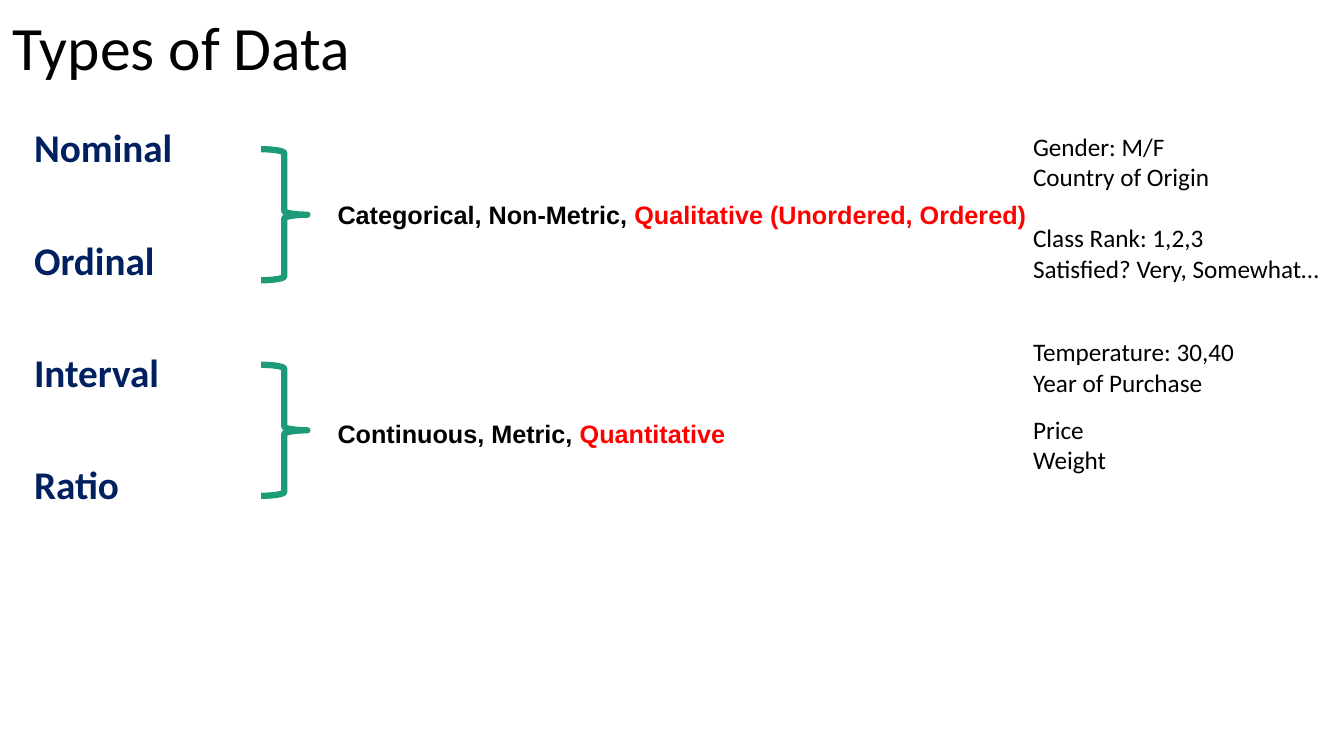
from dataclasses import dataclass

from pptx import Presentation
from pptx.dml.color import RGBColor
from pptx.enum import shapes, text
from pptx.util import Pt


@dataclass(frozen=True)
class Theme:
    ink: str = "000000"
    navy: str = "002060"
    red: str = "FF0000"
    green: str = "1D9A78"
    head: str = "Calibri"
    label: str = "Arial"
    title: int = 44
    level: int = 28
    note: int = 18
    stroke: float = 4.5


class Deck:
    def __init__(self, theme):
        self.theme = theme
        self.file = Presentation()
        self.file.slide_width, self.file.slide_height = Pt(960), Pt(540)
        self.slide = self.file.slides.add_slide(self.file.slide_layouts[6])

    def text(self, box, lines, size, font, bold=False, pitch=None, gap=0):
        """Add a text box; each line is a list of (words, colour) runs."""
        frame = self.slide.shapes.add_textbox(*map(Pt, box)).text_frame
        frame.word_wrap = True
        frame.text = "\n".join("".join(w for w, _ in runs) for runs in lines)
        for para, runs in zip(frame.paragraphs, lines):
            para.text = ""
            para.line_spacing = pitch
            para.space_after = Pt(gap)
            for words, colour in runs:
                run = para.add_run()
                run.text = words
                run.font.size, run.font.name = Pt(size), font
                run.font.bold = bold
                run.font.color.rgb = RGBColor.from_string(colour)
        return frame

    def title(self, words):
        t = self.theme
        frame = self.text((2, 10.8, 496, 51), [[(words, t.ink)]],
                          t.title, t.head, pitch=0.9)
        frame.vertical_anchor = text.MSO_ANCHOR.MIDDLE

    def levels(self, names):
        t = self.theme
        self.text((17.3, 88.6, 160, 363), [[(n, t.navy)] for n in names],
                  t.level, t.head, bold=True, pitch=0.9, gap=50)

    def brace(self, top):
        kind = shapes.MSO_SHAPE.RIGHT_BRACE
        brace = self.slide.shapes.add_shape(
            kind, *map(Pt, (186.5, top, 33.1, 93.6)))
        brace.shadow.inherit = False
        brace.fill.background()
        brace.line.color.rgb = RGBColor.from_string(self.theme.green)
        brace.line.width = Pt(self.theme.stroke)

    def group(self, top, width, plain, key):
        t = self.theme
        self.text((234, top, width, 29), [[(plain, t.ink), (key, t.red)]],
                  t.note, t.label, bold=True)

    def sample(self, top, lines):
        t = self.theme
        self.text((730.8, top, 229, 51), [[(line, t.ink)] for line in lines],
                  t.note, t.head)


def main():
    deck = Deck(Theme())
    deck.title("Types of Data")
    deck.levels(["Nominal", "Ordinal", "Interval", "Ratio"])
    for top in (106.6, 260.6):
        deck.brace(top)
    deck.group(139, 564, "Categorical, Non-Metric, ",
               "Qualitative (Unordered, Ordered)")
    deck.group(295.4, 384, "Continuous, Metric, ", "Quantitative")
    for top, lines in (
        (90, ["Gender: M/F", "Country of Origin"]),
        (155.5, ["Class Rank: 1,2,3", "Satisfied? Very, Somewhat…"]),
        (237, ["Temperature: 30,40", "Year of Purchase"]),
        (292.3, ["Price", "Weight"]),
    ):
        deck.sample(top, lines)
    deck.file.save("out.pptx")


if __name__ == "__main__":
    main()
